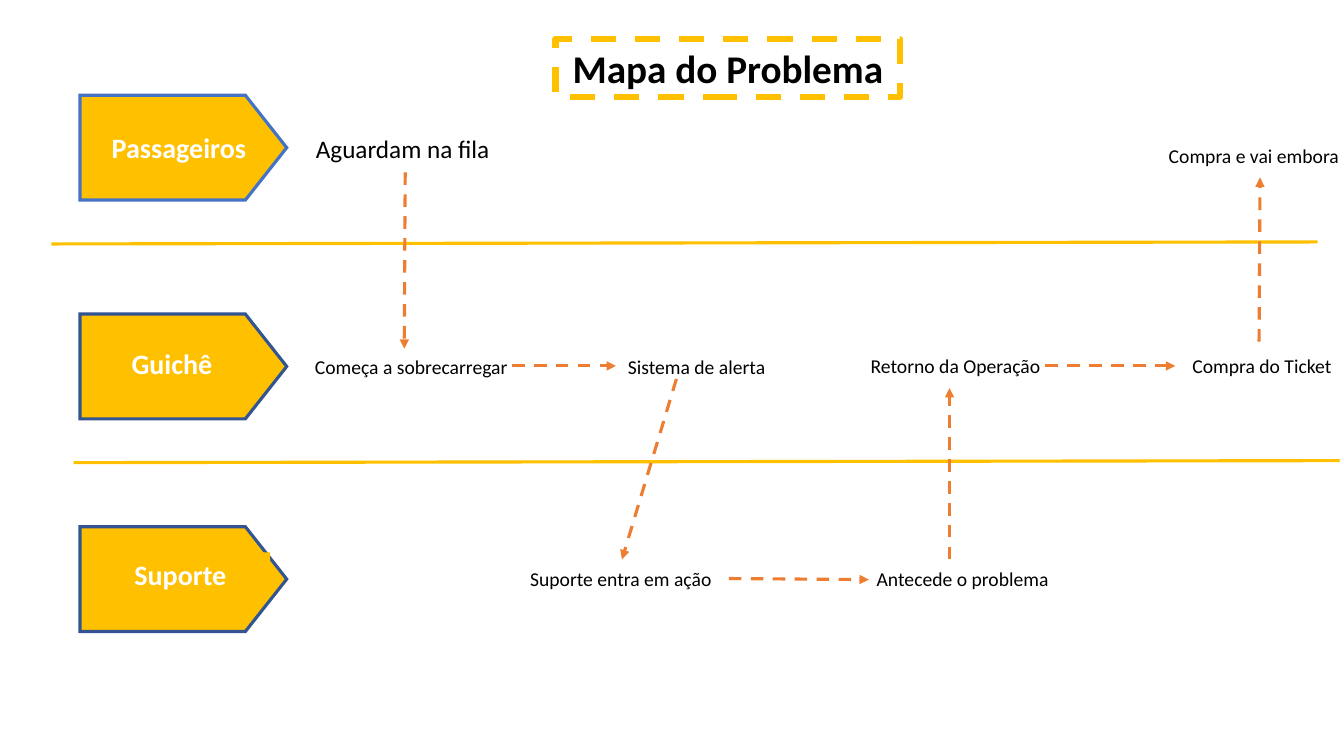
"""Build the problem map: three swimlanes joined by dashed arrows."""
from typing import NamedTuple, Optional

from lxml.etree import SubElement
from pptx import Presentation
from pptx.dml.color import RGBColor
from pptx.enum.dml import MSO_LINE
from pptx.enum.shapes import MSO_CONNECTOR, MSO_SHAPE
from pptx.enum.text import MSO_ANCHOR, MSO_AUTO_SIZE, PP_ALIGN
from pptx.oxml.ns import qn
from pptx.util import Inches, Pt

GOLD, ORANGE, WHITE, BLACK = "FFC000", "ED7D31", "FFFFFF", "000000"
BLUE, NAVY = "4472C4", "325491"
TITLE_ONLY = 5
BADGE_X, BADGE_WIDTH, BADGE_HEIGHT = 13.65, 7.8, 27.33
LABEL_HEIGHT = 5.87


class Box(NamedTuple):
    """Centre and size, in percent of the slide."""
    x: float
    y: float
    width: float
    height: float


class Lane(NamedTuple):
    """Badge that names a lane, with its label."""
    name: str
    y: float
    outline: str
    label: Box
    label_fill: Optional[str]


class Step(NamedTuple):
    """One step of the problem."""
    text: str
    x: float
    y: float
    width: float = 17.55
    height: float = 4.53
    size: int = 14


class Link(NamedTuple):
    """Ends of a line, in percent of the slide."""
    x1: float
    y1: float
    x2: float
    y2: float


TITLE_BOX = Box(54.15, 9, 25.65, 7.6)
LANES = [
    Lane("Passageiros", 19.53, BLUE, Box(13.31, 19.47, 11.93, LABEL_HEIGHT), GOLD),
    Lane("Guichê", 48.47, NAVY, Box(12.79, 48, 14.63, LABEL_HEIGHT), None),
    Lane("Suporte", 76.6, NAVY, Box(13.43, 76, 13.35, LABEL_HEIGHT), GOLD),
]
STEPS = [
    Step("Aguardam na fila", 29.96, 19.6, 15.08, 5.33, 18),
    Step("Começa a sobrecarregar", 30.6, 48.53, 22.5),
    Step("Sistema de alerta", 51.83, 48.53),
    Step("Suporte entra em ação", 46.2, 76.53),
    Step("Antecede o problema", 71.63, 76.53),
    Step("Retorno da Operação", 71.1, 48.4),
    Step("Compra do Ticket", 93.9, 48.4),
    Step("Compra e vai embora", 93.3, 20.53),
]
DIVIDERS = [Link(3.83, 32.27, 98.03, 32), Link(5.48, 61.2, 99.68, 60.93)]
ARROWS = [
    Link(30.15, 22.8, 30.08, 46.13),
    Link(38.1, 48.4, 45.83, 48.4),
    Link(50.33, 50.13, 46.28, 74),
    Link(54.23, 76.53, 64.65, 76.67),
    Link(70.65, 74, 70.65, 51.33),
    Link(77.78, 48.4, 87.45, 48.4),
    Link(93.68, 45.2, 93.75, 23.47),
]

presentation = Presentation()
presentation.slide_width, presentation.slide_height = Inches(13.33), Inches(7.5)
slide = presentation.slides.add_slide(presentation.slide_layouts[TITLE_ONLY])


def across(share: float) -> int:
    return round(presentation.slide_width * share / 100)


def down(share: float) -> int:
    return round(presentation.slide_height * share / 100)


def frame(box: Box) -> tuple:
    return (across(box.x - box.width / 2), down(box.y - box.height / 2),
            across(box.width), down(box.height))


def paint(color_format, color: str) -> None:
    color_format.rgb = RGBColor.from_string(color)


def fill(shape, color: str) -> None:
    shape.fill.solid()
    paint(shape.fill.fore_color, color)


def stroke(line, color: str, width: float = 2.25, dashed: bool = False) -> None:
    paint(line.color, color)
    line.width = Pt(width)
    if dashed:
        line.dash_style = MSO_LINE.DASH


def extend_line(shape, tag: str, **attributes: str) -> None:
    SubElement(shape._element.spPr.find(qn("a:ln")), qn(tag), **attributes)


def write(shape, text: str, size: int = 14, color: str = BLACK, bold: bool = False) -> None:
    text_frame = shape.text_frame
    text_frame.word_wrap = True
    text_frame.auto_size = MSO_AUTO_SIZE.NONE
    text_frame.vertical_anchor = MSO_ANCHOR.MIDDLE
    paragraph = text_frame.paragraphs[0]
    paragraph.alignment = PP_ALIGN.CENTER
    run = paragraph.add_run()
    run.text = text
    run.font.name, run.font.size, run.font.bold = "Calibri", Pt(size), bold
    paint(run.font.color, color)


def draw_link(link: Link, color: str, arrow: bool = False) -> None:
    connector = slide.shapes.add_connector(
        MSO_CONNECTOR.STRAIGHT, across(link.x1), down(link.y1), across(link.x2), down(link.y2))
    stroke(connector.line, color, dashed=arrow)
    if arrow:
        extend_line(connector, "a:tailEnd", type="triangle")
    SubElement(connector._element.spPr, qn("a:effectLst"))


def draw_lane(lane: Lane) -> None:
    badge = slide.shapes.add_shape(
        MSO_SHAPE.FLOWCHART_OFFPAGE_CONNECTOR,
        *frame(Box(BADGE_X, lane.y, BADGE_WIDTH, BADGE_HEIGHT)))
    badge.rotation = 270
    badge.shadow.inherit = False
    fill(badge, GOLD)
    stroke(badge.line, lane.outline)
    extend_line(badge, "a:miter", lim="800000")
    label = slide.shapes.add_textbox(*frame(lane.label))
    if lane.label_fill:
        fill(label, lane.label_fill)
    write(label, lane.name, size=20, color=WHITE, bold=True)


def draw_step(step: Step) -> None:
    box = Box(step.x, step.y, step.width, step.height)
    write(slide.shapes.add_textbox(*frame(box)), step.text, size=step.size)


def draw_title(text: str) -> None:
    title = slide.shapes.title
    title.left, title.top, title.width, title.height = frame(TITLE_BOX)
    stroke(title.line, GOLD, width=4.5, dashed=True)
    write(title, text, size=28, bold=True)


for divider in DIVIDERS:
    draw_link(divider, GOLD)
for lane in LANES:
    draw_lane(lane)
for step in STEPS:
    draw_step(step)
for arrow in ARROWS:
    draw_link(arrow, ORANGE, arrow=True)
draw_title("Mapa do Problema")
presentation.save("out.pptx")
